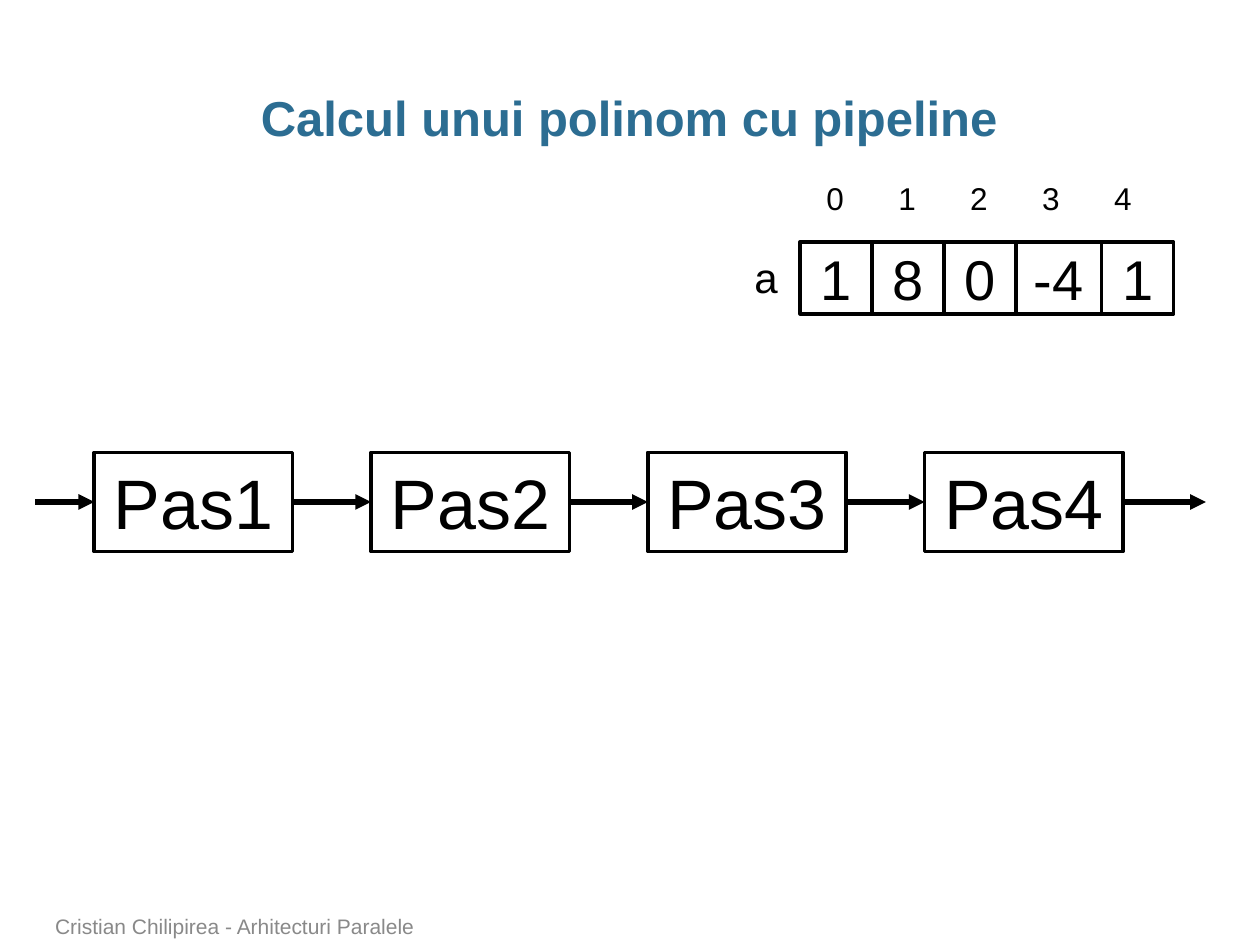
from dataclasses import dataclass

from lxml import etree
from pptx import Presentation
from pptx import util as u
from pptx.dml.color import RGBColor
from pptx.enum import shapes, text
from pptx.oxml import ns


@dataclass(frozen=True)
class Theme:
    font: str = "Arial"
    ink: str = "000000"
    title: str = "2C6D92"
    footer: str = "898989"
    title_size: int = 28
    step_size: int = 40
    cell_size: int = 32
    name_size: int = 24
    index_size: int = 18
    footer_size: int = 12
    box_line: int = 2
    arrow_line: int = 3


THEME = Theme()
STEPS = ["Pas1", "Pas2", "Pas3", "Pas4"]
COEFFICIENTS = [1, 8, 0, -4, 1]


def write(sp, content, size, color=THEME.ink, align=text.PP_ALIGN.LEFT,
          anchor=text.MSO_ANCHOR.TOP, bold=False):
    tf = sp.text_frame
    tf.text = content
    tf.vertical_anchor = anchor
    p = tf.paragraphs[0]
    p.alignment = align
    font = p.runs[0].font
    font.name, font.size, font.bold = THEME.font, u.Pt(size), bold
    font.color.rgb = RGBColor.from_string(color)
    return tf


def add_label(s, box, content, size, wrap=False, **style):
    sp = s.shapes.add_textbox(*map(u.Cm, box))
    tf = write(sp, content, size, **style)
    tf.word_wrap = wrap
    return tf


def add_box(s, box, content, size):
    sp = s.shapes.add_shape(shapes.MSO_SHAPE.RECTANGLE, *map(u.Cm, box))
    sp.shadow.inherit = False
    sp.fill.background()
    sp.line.color.rgb = RGBColor.from_string(THEME.ink)
    sp.line.width = u.Pt(THEME.box_line)
    write(sp, content, size, align=text.PP_ALIGN.CENTER,
          anchor=text.MSO_ANCHOR.MIDDLE)


def add_arrow(s, start, end, y):
    line = s.shapes.add_connector(shapes.MSO_CONNECTOR.STRAIGHT,
                                  u.Cm(start), u.Cm(y), u.Cm(end), u.Cm(y))
    line.line.color.rgb = RGBColor.from_string(THEME.ink)
    line.line.width = u.Pt(THEME.arrow_line)
    etree.SubElement(line.line._get_or_add_ln(), ns.qn("a:tailEnd"), type="triangle")
    etree.SubElement(line._element.spPr, ns.qn("a:effectLst"))


def add_pipeline(s):
    left, top, width, height, pitch = 1.9, 9.12, 4, 2, 5.58
    lefts = [left + i * pitch for i in range(len(STEPS))]
    for x, step in zip(lefts, STEPS):
        add_box(s, (x, top, width, height), step, THEME.step_size)
    starts = [0.71] + [x + width for x in lefts]
    for start, end in zip(starts, lefts + [24.31]):
        add_arrow(s, start, end, top + height / 2)


def add_array(s):
    x, top, side, negative_width = 16.13, 4.88, 1.45, 1.73
    add_label(s, (14.96, 4.95, 0.99, 1.27), "a", THEME.name_size)
    for i, value in enumerate(COEFFICIENTS):
        add_label(s, (16.41 + i * side, 3.48, 0.86, 1.02), str(i), THEME.index_size)
        width = negative_width if value < 0 else side
        add_box(s, (x, top, width, side), str(value), THEME.cell_size)
        x += width


def main():
    prs = Presentation()
    prs.slide_width, prs.slide_height = u.Cm(25.4), u.Cm(19.05)
    s = prs.slides.add_slide(prs.slide_layouts[6])
    tf = add_label(s, (0.86, 1.73, 23.65, 1.27), "Calcul unui polinom cu pipeline",
                   THEME.title_size, wrap=True, color=THEME.title,
                   align=text.PP_ALIGN.CENTER, bold=True)
    tf.margin_left = tf.margin_right = 0
    tf.paragraphs[0].line_spacing = 0.95
    add_pipeline(s)
    add_array(s)
    add_label(s, (0.86, 18.34, 18.72, 0.71),
              "Cristian Chilipirea - Arhitecturi Paralele", THEME.footer_size,
              wrap=True, color=THEME.footer, anchor=text.MSO_ANCHOR.BOTTOM)
    prs.save("out.pptx")


if __name__ == "__main__":
    main()
